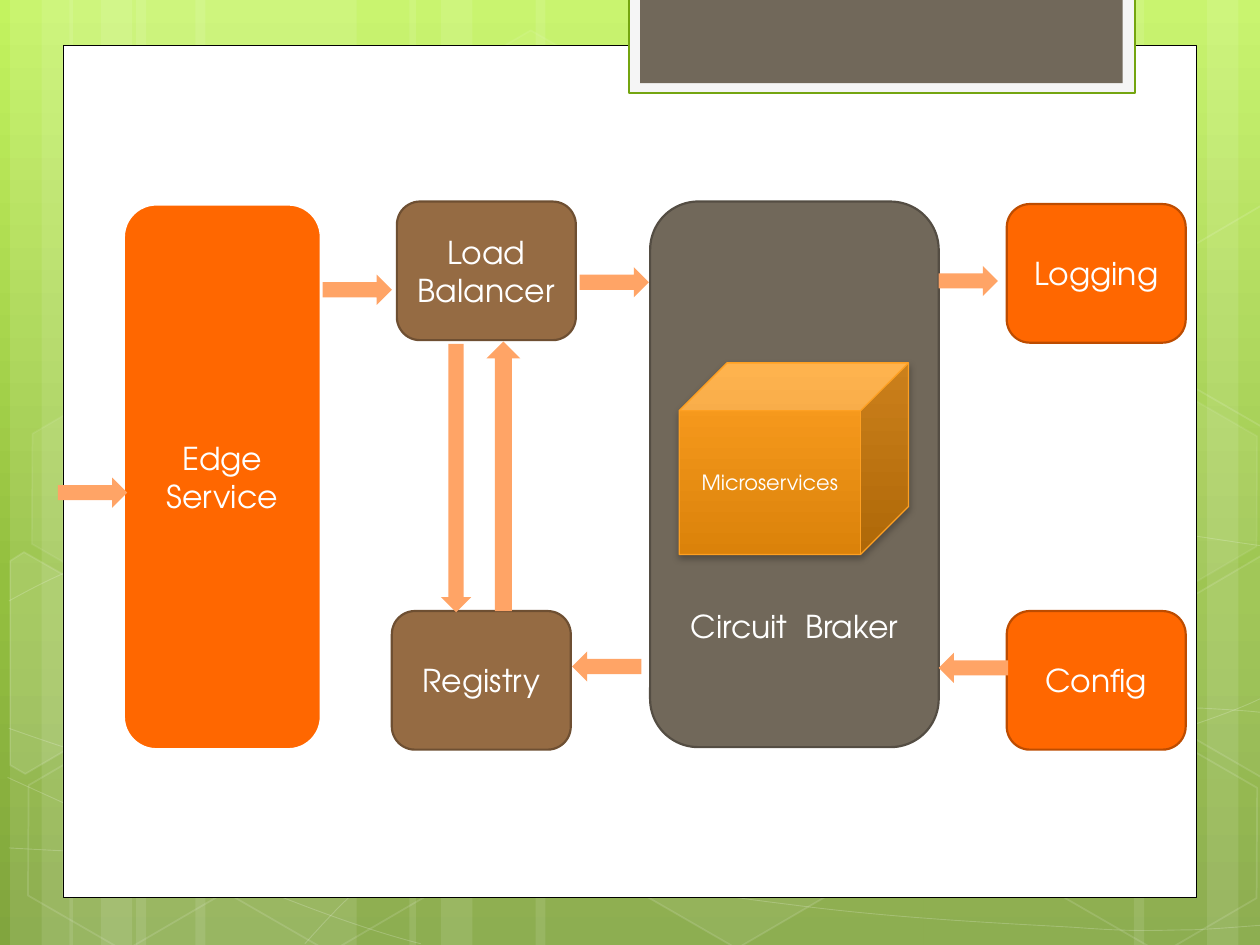
from copy import deepcopy
from math import cos, radians, sin

from lxml.etree import SubElement
from pptx import Presentation
from pptx.dml.color import RGBColor
from pptx.enum.shapes import MSO_SHAPE as Shape
from pptx.enum.text import MSO_ANCHOR as Anchor, PP_ALIGN as Align
from pptx.oxml.ns import qn
from pptx.util import Inches, Pt

FONT = "TeX Gyre Adventor"
TILT = 30
COLORS = {
    "white": "FFFFFF", "black": "000000", "pale": "F5F5F5", "green": "74A510",
    "orange": "FF6700", "orange_edge": "BD4C00", "brown": "956B43",
    "brown_edge": "6E4F32", "gray": "71685A", "gray_edge": "544D43",
    "arrow": "FFA466", "cube_top": "FEA022", "cube_bottom": "DB820A",
    "sky": "C3F35F", "leaf": "93BF3F", "moss": "81A53E",
}

# Backdrop: stripes (left, width), curves (start, then Bezier triples), hexagons
STRIPES = [(1.08, 1.75), (0.08, 0.5), (0.33, 0.83), (1.55, 1.75), (0.55, 0.5),
           (0.8, 0.83), (7.33, 1.75), (9.58, 0.5), (9, 0.83), (4.25, 3.08),
           (3.25, 0.5), (3.5, 0.83)]
CURVES = [
    [(0.07, 6.73), (0.61, 6.76), (1.15, 6.79), (1.9, 6.78), (2.65, 6.77),
     (3.58, 6.75), (4.58, 6.65), (5.58, 6.55), (7, 6.36), (7.92, 6.17),
     (8.83, 5.98), (9.77, 5.68), (10.07, 5.51)],
    [(0.07, 4.77), (0.36, 4.61), (0.65, 4.46), (1.21, 4.31), (1.78, 4.16),
     (2.59, 3.94), (3.47, 3.87), (4.36, 3.8), (5.44, 3.79), (6.54, 3.87),
     (7.64, 3.95), (9.47, 4.26), (10.07, 4.34)],
    [(0.06, 6.17), (1.27, 6.72), (2.47, 7.27), (3.34, 7.49)],
    [(0.07, 5.78), (0.38, 5.89), (0.7, 6), (1.28, 6.16), (1.86, 6.31),
     (2.73, 6.56), (3.57, 6.73), (4.4, 6.9), (5.45, 7.08), (6.28, 7.18),
     (7.11, 7.29), (8, 7.33), (8.53, 7.36), (9.05, 7.4), (9.19, 7.38),
     (9.45, 7.38), (9.71, 7.37), (9.89, 7.35), (10.07, 7.34)],
    [(2.42, 7.49), (2.6, 7.29), (2.78, 7.09), (3.02, 6.91), (3.26, 6.73),
     (3.6, 6.53), (3.88, 6.39), (4.16, 6.25), (4.33, 6.19), (4.7, 6.09),
     (5.06, 5.99), (5.73, 5.85), (6.08, 5.78), (6.44, 5.71), (6.49, 5.71),
     (6.8, 5.69), (7.11, 5.66), (7.6, 5.63), (7.94, 5.62), (8.29, 5.61),
     (8.86, 5.62), (8.86, 5.62), (9.08, 5.62), (9.31, 5.62), (9.53, 5.62),
     (9.71, 5.63), (9.88, 5.64), (9.97, 5.65), (10.06, 5.66), (10.03, 5.65),
     (10.06, 5.66)],
]
# left, top, fill opacity, line opacity (percent)
HEXAGONS = [(3.34, 0.36, 4, 8), (4.97, 5.89, 6, 12), (0.11, 5.91, None, 12),
            (0.14, 3.12, 7, 8), (1.74, 5.92, None, 12), (7.53, 4.53, 10, 12),
            (8.34, 5.93, None, 12), (8.34, 3.14, 7, 8)]
# corners on the slide, centre of the tilted box, fill opacity
CUT_HEXAGONS = [
    ([(0.08, 4.45), (0.19, 4.38), (0.96, 4.82), (0.95, 5.7), (0.2, 6.14), (0.08, 6.07)],
     (0.36, 5.35), 10),
    ([(9.26, 4.85), (10.01, 4.41), (10.09, 4.46), (10.09, 6.13), (10.02, 6.17), (9.26, 5.73)],
     (9.85, 5.2), 4),
    ([(9.26, 2.07), (10.01, 1.63), (10.1, 1.68), (10.09, 3.35), (10.02, 3.39), (9.26, 2.95)],
     (9.85, 2.41), None),
]

# Panels: box, fill, line, line width
PANELS = [((0.5, 0.36, 9, 6.76), "white", "black", 0.5),
          ((4.99, -0.02, 4.02, 0.76), "pale", "green", 1.25),
          ((5.08, -0.02, 3.83, 0.68), "gray", None, 0)]
# Components: text, box, fill, line, line width
COMPONENTS = [
    ("Edge\nService", (0.98, 1.62, 1.57, 4.33), "orange", "white", 1.75),
    ("Load\nBalancer", (3.15, 1.6, 1.42, 1.1), "brown", "brown_edge", 1.25),
    ("Registry", (3.11, 4.85, 1.42, 1.1), "brown", "brown_edge", 1.25),
    ("Circuit  Braker", (5.16, 1.6, 2.29, 4.33), "gray", "gray_edge", 1.25),
    ("Logging", (7.99, 1.62, 1.42, 1.1), "orange", "orange_edge", 1.25),
    ("Config", (7.99, 4.85, 1.42, 1.1), "orange", "orange_edge", 1.25),
]
# Arrows: kind, box, rotation
ARROWS = [(Shape.RIGHT_ARROW, (2.56, 2.18, 0.55, 0.24), 0),
          (Shape.DOWN_ARROW, (3.5, 2.73, 0.24, 2.13), 0),
          (Shape.DOWN_ARROW, (3.86, 2.71, 0.27, 2.14), 180),
          (Shape.RIGHT_ARROW, (4.6, 2.12, 0.55, 0.24), 0),
          (Shape.RIGHT_ARROW, (7.45, 2.11, 0.47, 0.24), 0),
          (Shape.RIGHT_ARROW, (4.54, 5.17, 0.55, 0.24), 180),
          (Shape.RIGHT_ARROW, (7.45, 5.18, 0.55, 0.24), 180),
          (Shape.RIGHT_ARROW, (0.46, 3.79, 0.55, 0.24), 0)]


def paint(fill, color, opacity=100):
    if color is None or opacity is None:
        fill.background()
        return
    fill.solid()
    fill.fore_color.rgb = RGBColor.from_string(COLORS[color])
    if opacity < 100:
        rgb = fill._xPr.find(".//" + qn("a:srgbClr"))
        SubElement(rgb, qn("a:alpha")).set("val", str(opacity * 1000))


def style(shape, fill, line=None, width=0, fill_opacity=100, line_opacity=100):
    shape.shadow.inherit = False
    paint(shape.fill, fill, fill_opacity)
    paint(shape.line.fill, line, line_opacity)
    if line:
        shape.line.width = Pt(width)


def add_shape(slide, kind, box, *look, **opacity):
    shape = slide.shapes.add_shape(kind, *map(Inches, box))
    style(shape, *look, **opacity)
    return shape


def add_outline(slide, points, closed):
    points = [(Inches(x), Inches(y)) for x, y in points]
    builder = slide.shapes.build_freeform(*points[0])
    builder.add_line_segments(points[1:], close=closed)
    return builder.convert_to_shape()


def add_curve(slide, nodes):
    """Draw the nodes as an outline, then join each three into one Bezier segment."""
    shape = add_outline(slide, nodes, False)
    segments = shape._element.findall(".//" + qn("a:lnTo"))
    outline = segments[0].getparent()
    for start in range(0, len(segments), 3):
        curve = SubElement(outline, qn("a:cubicBezTo"))
        for segment in segments[start:start + 3]:
            curve.append(segment[0])
            outline.remove(segment)
    return shape


def untilt(point, center):
    x, y = point[0] - center[0], point[1] - center[1]
    c, s = cos(radians(TILT)), sin(radians(TILT))
    return center[0] + c * x + s * y, center[1] - s * x + c * y


def set_gradient(fill, element, stops):
    fill.gradient()
    fill.gradient_angle = 270
    stop_list = element.find(".//" + qn("a:gsLst"))
    while len(stop_list) < len(stops):
        stop_list.append(deepcopy(stop_list[-1]))
    for stop, (position, color) in zip(fill.gradient_stops, stops):
        stop.position = position
        stop.color.rgb = RGBColor.from_string(COLORS[color])


def write(shape, text, size):
    frame = shape.text_frame
    frame.word_wrap = True
    frame.vertical_anchor = Anchor.MIDDLE
    frame.text = text
    for paragraph in frame.paragraphs:
        paragraph.alignment = Align.CENTER
        font = paragraph.runs[0].font
        font.name, font.size = FONT, Pt(size)
        font.color.rgb = RGBColor.from_string(COLORS["white"])


def add_backdrop(slide):
    set_gradient(slide.background.fill, slide._element,
                 [(0, "sky"), (0.62, "leaf"), (1, "moss")])
    for left, width in STRIPES:
        add_shape(slide, Shape.RECTANGLE, (left, 0, width, 7.5), "white", fill_opacity=10)
    for nodes in CURVES:
        style(add_curve(slide, nodes), None, "white", 0.5, line_opacity=20)
    for left, top, fill_opacity, line_opacity in HEXAGONS:
        hexagon = add_shape(slide, Shape.HEXAGON, (left, top, 1.75, 1.52), "white", "white", 1,
                            fill_opacity=fill_opacity, line_opacity=line_opacity)
        hexagon.adjustments[0] = 0.285
        hexagon.rotation = TILT
    for corners, center, fill_opacity in CUT_HEXAGONS:
        hexagon = add_outline(slide, [untilt(corner, center) for corner in corners], True)
        hexagon.rotation = TILT
        style(hexagon, "white", "white", 1, fill_opacity, 12)
    for box, *look in PANELS:
        add_shape(slide, Shape.RECTANGLE, box, *look)


def add_cube(slide):
    cube = add_shape(slide, Shape.CUBE, (5.39, 2.88, 1.82, 1.52), "cube_top", "cube_top", 0.75)
    set_gradient(cube.fill, cube._element, [(0, "cube_top"), (1, "cube_bottom")])
    effects = cube._element.spPr.find(qn("a:effectLst"))
    shadow = SubElement(effects, qn("a:outerShdw"), blurRad=str(Pt(4)), dist=str(Pt(2)),
                        dir="5400000", rotWithShape="0")
    color = SubElement(shadow, qn("a:srgbClr"), val=COLORS["black"])
    SubElement(color, qn("a:alpha"), val="28000")
    write(cube, "Microservices", 12)


def main():
    presentation = Presentation()
    presentation.slide_width, presentation.slide_height = Inches(10), Inches(7.5)
    slide = presentation.slides.add_slide(presentation.slide_layouts[6])
    add_backdrop(slide)
    # Services; the circuit breaker's label sits below its cube
    for text, box, *look in COMPONENTS:
        shape = add_shape(slide, Shape.ROUNDED_RECTANGLE, box, *look)
        write(shape, text, 18)
        if text.startswith("Circuit"):
            shape.text_frame.vertical_anchor = Anchor.BOTTOM
            shape.text_frame.margin_bottom = Inches(0.7)
    add_cube(slide)
    # Flow between the services
    for kind, box, rotation in ARROWS:
        add_shape(slide, kind, box, "arrow").rotation = rotation
    presentation.save("out.pptx")


if __name__ == "__main__":
    main()
